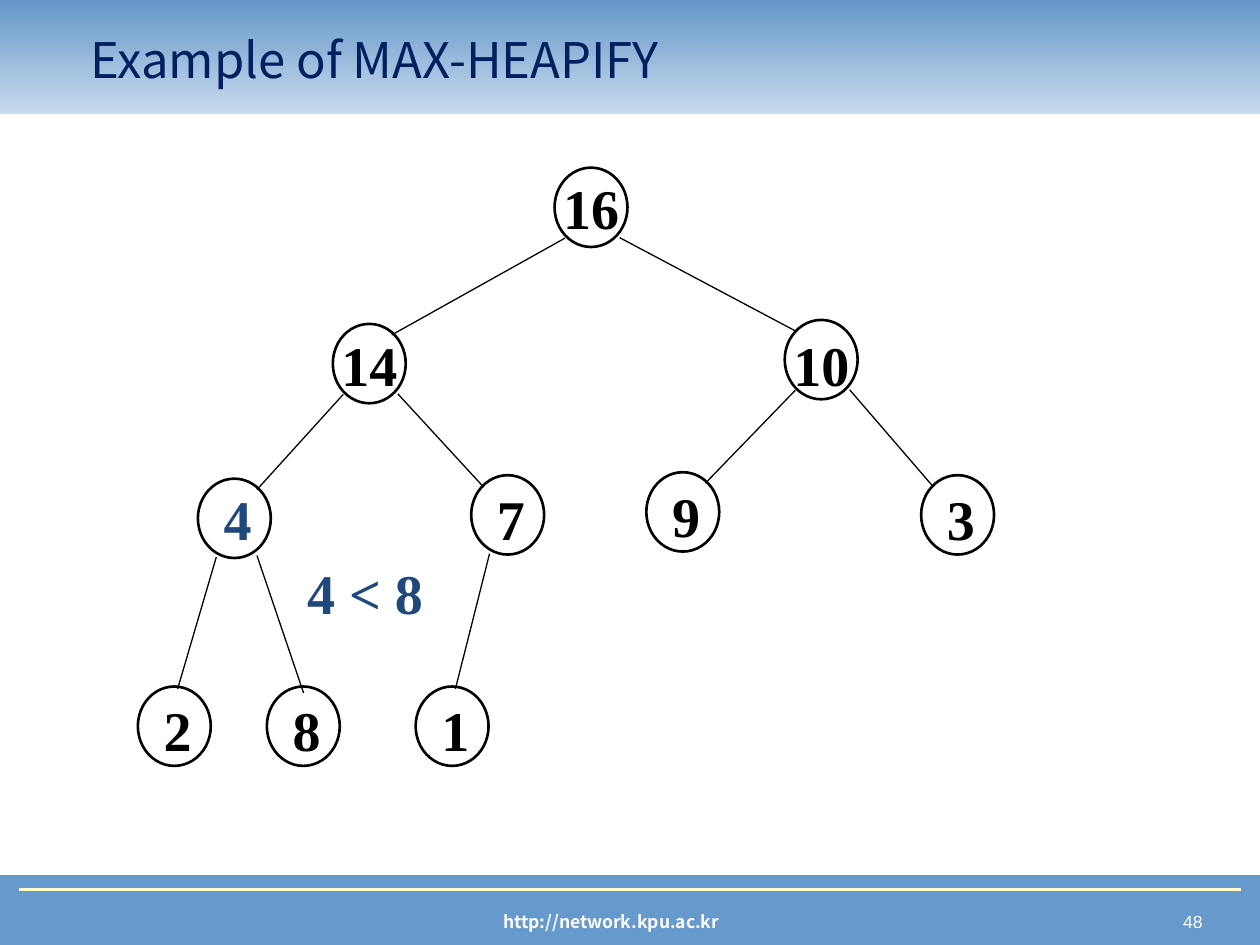
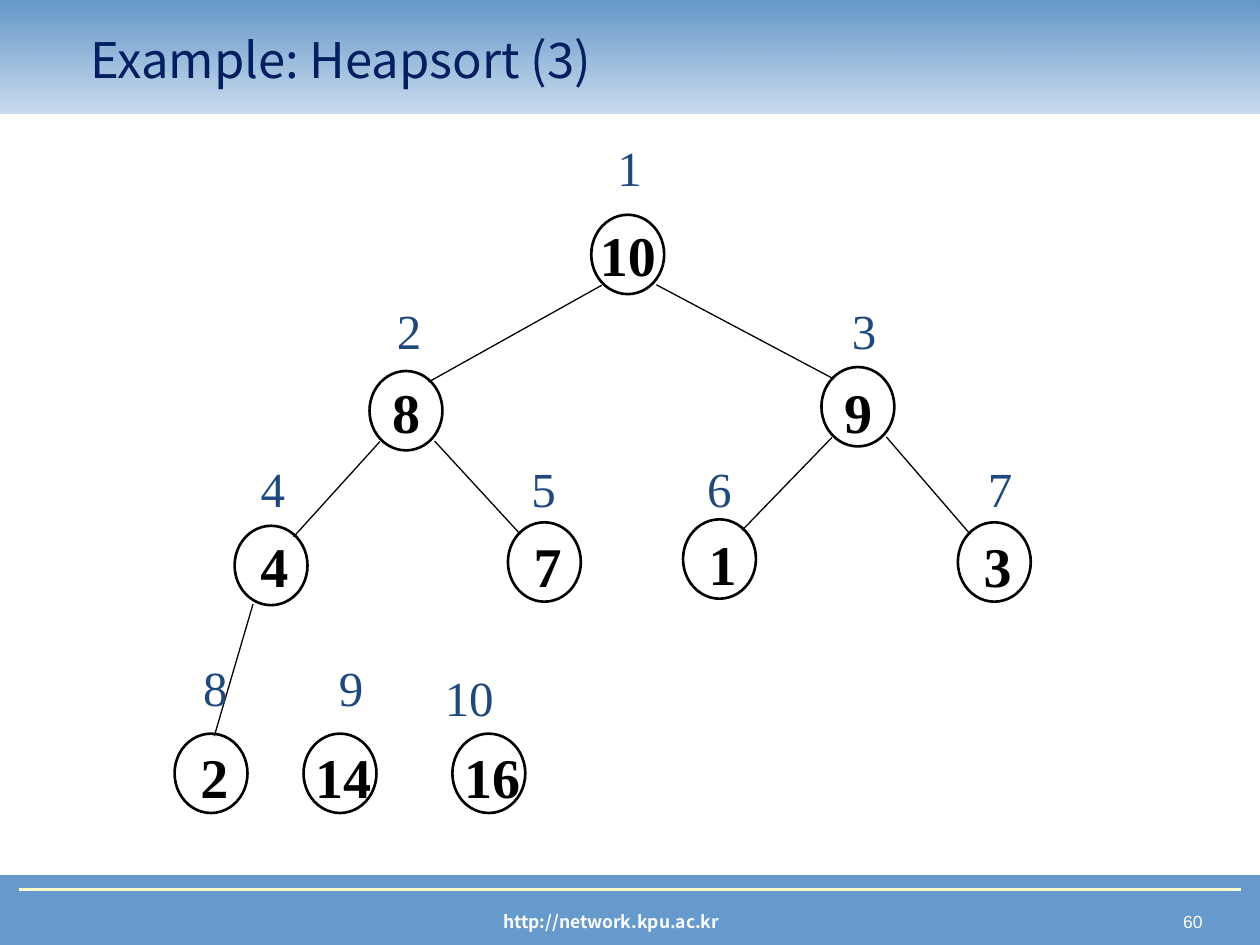
from lxml import etree
from pptx import Presentation
from pptx.dml.color import RGBColor
from pptx.enum import shapes, text
from pptx.oxml.ns import qn
from pptx.util import Cm, Pt

# Shared look
BLUE, NAVY, DARK, BLACK, WHITE = "6699CC", "002060", "1F497D", "000000", "FFFFFF"
SERIF, SANS, PLAIN = "Times New Roman", "Noto Sans CJK KR", "Arial"
WIDE, HIGH = 25.4, 19.05
URL = "http://network.kpu.ac.kr"
CENTER, RIGHT = text.PP_ALIGN.CENTER, text.PP_ALIGN.RIGHT

# Heap shape in cm: index -> left, top of the circle, top of its number
NODES = {
    1: (11.18, 3.38, 3.38),
    2: (6.71, 6.53, 6.53), 3: (15.82, 6.45, 6.53),
    4: (3.99, 9.65, 9.65), 5: (9.5, 9.58, 9.65),
    6: (13.03, 9.52, 9.59), 7: (18.57, 9.58, 9.65),
    8: (2.78, 13.84, 13.9), 9: (5.38, 13.84, 13.9), 10: (8.38, 13.84, 13.9),
}
NODE_W, NODE_H = 1.47, 1.6

# Edge ends measured from parent and child circle: (is last row, is right child)
EDGES = {
    (False, False): ((0.21, 1.42), (1.19, 0.22)),
    (False, True): ((1.31, 1.41), (0.25, 0.24)),
    (True, False): ((0.37, 1.58), (0.8, 0.05)),
    (True, True): ((1.19, 1.55), (0.74, 0.13)),
}

# Slides: heap values in index order, size of the linked heap, loose notes
SLIDES = [
    dict(title="Example of MAX-HEAPIFY", page=48, shift=(0, 0),
         heap=[16, 14, 10, 4, 7, 9, 3, 2, 8, 1], size=10, marked=[4],
         notes=[("4 < 8", 5.94, 11.13, 2.84, 32, True)]),
    dict(title="Example: Heapsort (3)", page=60, shift=(0.74, 0.95),
         heap=[10, 8, 9, 4, 7, 1, 3, 2, 14, 16], size=8, marked=[],
         notes=[(str(i), x, y, 1.5 if i > 9 else 1, 28, False)
                for i, (x, y) in enumerate([
                    (12.19, 2.64), (7.75, 5.94), (16.92, 5.94),
                    (5, 9.12), (10.46, 9.12), (14, 9.12), (19.66, 9.12),
                    (3.84, 13.13), (6.58, 13.13), (8.71, 13.34)], 1)]),
]


def rgb(code):
    return RGBColor.from_string(code)


def shape(slide, kind, x, y, w, h):
    part = slide.shapes.add_shape(kind, Cm(x), Cm(y), Cm(w), Cm(h))
    part.shadow.inherit = False
    return part


def line(slide, start, end, color=BLACK, width=0.75):
    link = slide.shapes.add_connector(
        shapes.MSO_CONNECTOR.STRAIGHT, *(Cm(v) for v in (*start, *end)))
    link.line.color.rgb = rgb(color)
    link.line.width = Pt(width)
    etree.SubElement(link._element.spPr, qn("a:effectLst"))


def write(slide, words, x, y, w, h, size, font, color,
          bold=False, align=None, wrap=True, grow=True):
    box = slide.shapes.add_textbox(Cm(x), Cm(y), Cm(w), Cm(h))
    frame = box.text_frame
    frame.word_wrap = wrap
    if grow:
        frame.auto_size = text.MSO_AUTO_SIZE.SHAPE_TO_FIT_TEXT
    else:
        frame.vertical_anchor = text.MSO_ANCHOR.MIDDLE
    par = frame.paragraphs[0]
    par.text = words
    par.alignment = align
    par.font.size, par.font.name, par.font.bold = Pt(size), font, bold
    par.font.color.rgb = rgb(color)
    # East Asian and Latin letters share one font
    props = par._p.pPr.find(qn("a:defRPr"))
    latin = props.find(qn("a:latin"))
    latin.addnext(etree.Element(qn("a:ea"), typeface=font))
    for run in par.runs:
        run.font.size, run.font.name, run.font.bold = Pt(size), font, bold
        run.font.color.rgb = rgb(color)


def base(slide, title, page):
    # Footer band
    foot = shape(slide, shapes.MSO_SHAPE.RECTANGLE, 0, 17.65, WIDE, 1.4)
    foot.fill.solid()
    foot.fill.fore_color.rgb = foot.line.color.rgb = rgb(BLUE)
    foot.line.width = Pt(0.75)
    write(slide, f" {page} ", 18.85, 18.24, 5.74, 0.69, 10, PLAIN, WHITE,
          align=RIGHT)
    write(slide, URL, 5.77, 18.24, 13.1, 0.69, 10, SANS, WHITE, True, CENTER)
    line(slide, (0.38, 17.93), (25.02, 17.93), "FFFFCC", 1.5)

    # Title band, fading downwards
    band = shape(slide, shapes.MSO_SHAPE.RECTANGLE, 0, 0, WIDE, 2.29)
    band.line.fill.background()
    band.fill.gradient()
    band.fill.gradient_angle = 90
    for stop, place, color in zip(band.fill.gradient_stops, (0, 1),
                                  (BLUE, "6497C9")):
        stop.position = place
        stop.color.rgb = rgb(color)
    pale = next(band._element.spPr.iter(qn("a:srgbClr")))
    etree.SubElement(pale, qn("a:alpha"), val="35000")
    write(slide, title, 1.57, 0.41, 21.44, 1.57, 28, SANS, NAVY, grow=False)


def tree(slide, heap, size, marked, shift):
    dx, dy = shift
    spots = {i: (x + dx, y + dy, top + dy) for i, (x, y, top) in NODES.items()}
    # Edges from each parent to its child
    for i in range(2, size + 1):
        ends = EDGES[i > 7, i % 2 == 1]
        start, end = ((spots[n][0] + a, spots[n][1] + b)
                      for n, (a, b) in zip((i // 2, i), ends))
        line(slide, start, end)
    # Circles with their numbers
    for i, value in enumerate(heap, 1):
        x, y, top = spots[i]
        ring = shape(slide, shapes.MSO_SHAPE.OVAL, x, y, NODE_W, NODE_H)
        ring.fill.background()
        ring.line.color.rgb = rgb(BLACK)
        ring.line.width = Pt(1.5)
        inset = 0.26 if i < 4 else 0.2
        write(slide, str(value), x - inset, top, 2, 1.62, 32, SERIF,
              DARK if i in marked else BLACK, True, CENTER)


def main():
    deck = Presentation()
    deck.slide_width, deck.slide_height = Cm(WIDE), Cm(HIGH)
    for item in SLIDES:
        slide = deck.slides.add_slide(deck.slide_layouts[6])
        base(slide, item["title"], item["page"])
        tree(slide, item["heap"], item["size"], item["marked"], item["shift"])
        for words, x, y, w, size, bold in item["notes"]:
            write(slide, words, x, y, w, 1.45, size, SERIF, DARK, bold,
                  CENTER, wrap=False)
    deck.save("out.pptx")


if __name__ == "__main__":
    main()
